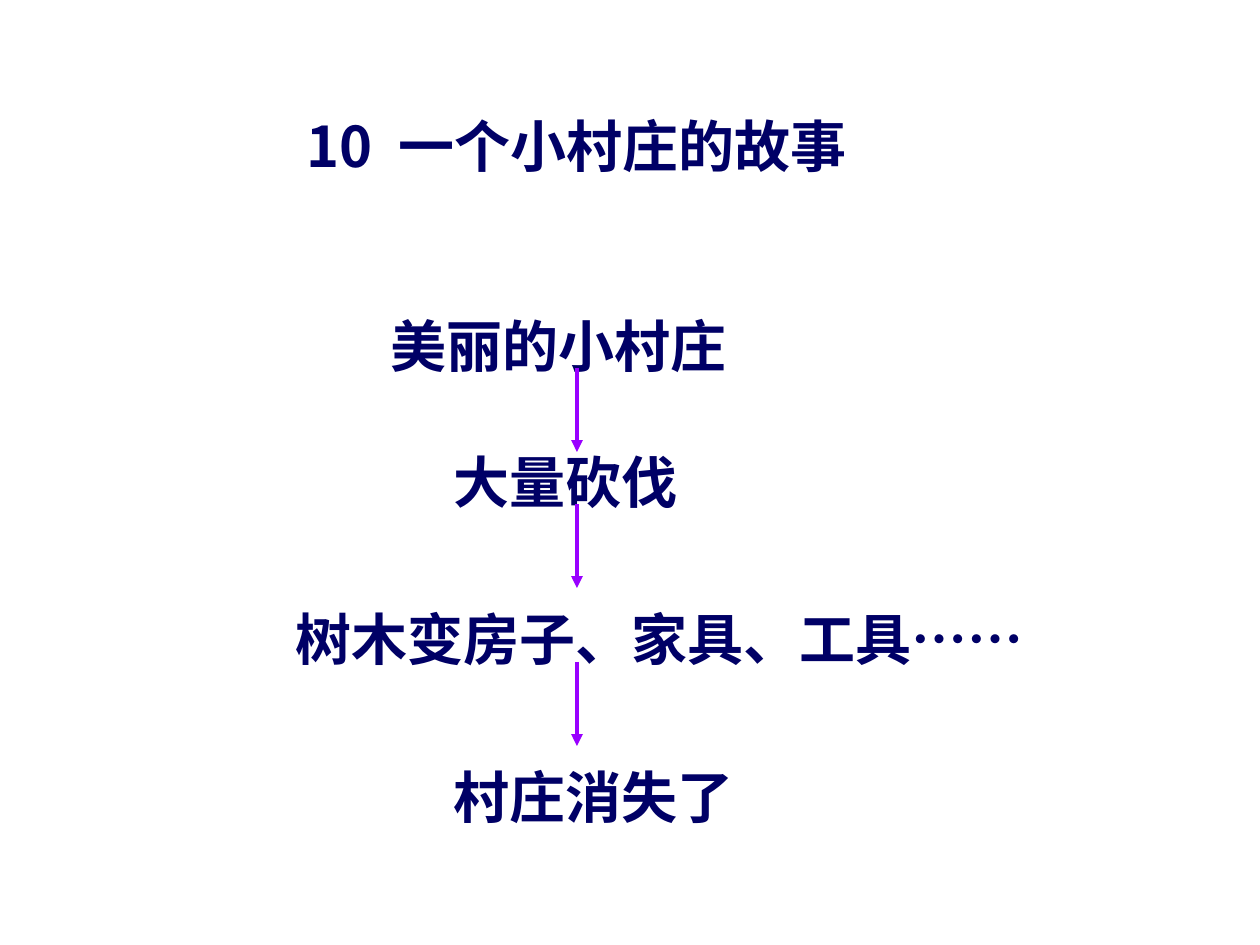
from dataclasses import dataclass
from lxml.etree import SubElement
from pptx import Presentation
from pptx.dml.color import RGBColor
from pptx.enum.shapes import MSO_CONNECTOR
from pptx.enum.text import MSO_ANCHOR, PP_ALIGN
from pptx.oxml.ns import qn
from pptx.util import Pt


@dataclass(frozen=True)
class Theme:
    ink: RGBColor = RGBColor(0x00, 0x00, 0x66)
    arrow: RGBColor = RGBColor(0x99, 0x00, 0xFF)
    face: str = "Noto Sans CJK SC"
    size: int = 32
    width: float = 2.25


THEME = Theme()
SCALE = 914400 / 126
TITLE = ("10  一个小村庄的故事", 220, 105, 714, 147)
ROW = 81
STEPS = [
    ("美丽的小村庄", 378, 305, 504),
    ("大量砍伐", 441, 441, 262),
    ("树木变房子、家具、工具……", 283, 598, 756),
    ("村庄消失了", 441, 756, 346),
]
AXIS = 577
REACH = 84
STARTS = [368, 504, 662]


def px(count):
    return round(count * SCALE)


def add_text(slide, text, left, top, width, height, align=PP_ALIGN.LEFT):
    box = slide.shapes.add_textbox(px(left), px(top), px(width), px(height))
    frame = box.text_frame
    frame.word_wrap = True
    frame.vertical_anchor = MSO_ANCHOR.TOP
    para = frame.paragraphs[0]
    para.alignment = align
    run = para.add_run()
    run.text = text
    font = run.font
    font.name = THEME.face
    font.size = Pt(THEME.size)
    font.bold = True
    font.color.rgb = THEME.ink
    SubElement(run._r.get_or_add_rPr(), qn("a:ea"), typeface=THEME.face)


def add_arrow(slide, top):
    line = slide.shapes.add_connector(
        MSO_CONNECTOR.STRAIGHT, px(AXIS), px(top), px(AXIS), px(top + REACH)
    )
    line.line.color.rgb = THEME.arrow
    line.line.width = Pt(THEME.width)
    SubElement(line.line._get_or_add_ln(), qn("a:tailEnd"), type="triangle")
    SubElement(line._element.spPr, qn("a:effectLst"))


def main():
    deck = Presentation()
    deck.slide_width = px(1260)
    deck.slide_height = px(945)
    slide = deck.slides.add_slide(deck.slide_layouts[6])
    add_text(slide, *TITLE, align=PP_ALIGN.CENTER)
    for step in STEPS:
        add_text(slide, *step, ROW)
    for top in STARTS:
        add_arrow(slide, top)
    deck.save("out.pptx")


if __name__ == "__main__":
    main()
